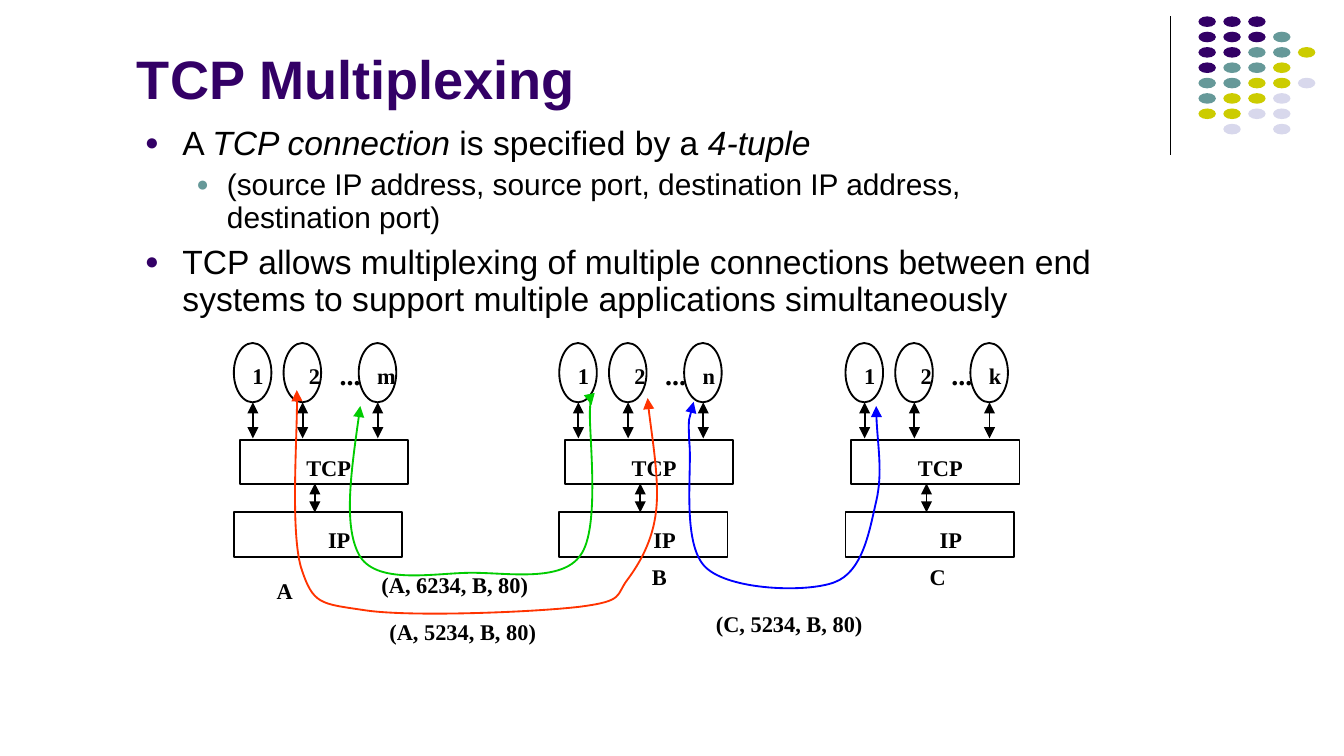
from dataclasses import dataclass

from lxml.etree import SubElement
from pptx import Presentation
from pptx.dml.color import RGBColor
from pptx.enum.shapes import MSO_CONNECTOR, MSO_SHAPE
from pptx.enum.text import MSO_ANCHOR, MSO_AUTO_SIZE
from pptx.oxml.ns import qn
from pptx.util import Cm, Pt


@dataclass(frozen=True)
class Theme:
    purple: str = "330066"
    teal: str = "669999"
    olive: str = "CCCC00"
    pale: str = "D8D8EC"
    black: str = "000000"
    red: str = "FF3300"
    green: str = "00CC00"
    blue: str = "0000FF"
    sans: str = "Arial"
    serif: str = "Times New Roman"
    title: int = 29
    body: int = 18
    sub: int = 16
    dots: int = 15
    label: int = 12


T = Theme()


def add_text(shapes, text, x, y, w, h, size=T.label, font=T.serif, color=T.black,
             wrap=False, auto_size=MSO_AUTO_SIZE.SHAPE_TO_FIT_TEXT, anchor=MSO_ANCHOR.TOP):
    tf = shapes.add_textbox(Cm(x), Cm(y), Cm(w), Cm(h)).text_frame
    frame_format = {"word_wrap": wrap, "auto_size": auto_size, "vertical_anchor": anchor}
    for name, value in frame_format.items():
        setattr(tf, name, value)
    r = tf.paragraphs[0].add_run()
    r.text = text
    for name, value in {"name": font, "size": Pt(size), "bold": True}.items():
        setattr(r.font, name, value)
    r.font.color.rgb = RGBColor.from_string(color)


def style_line(sp, color=T.black, width=1, arrows=True):
    sp.line.color.rgb = RGBColor.from_string(color)
    sp.line.width = Pt(width)
    if arrows:
        for end in ("a:headEnd", "a:tailEnd"):
            SubElement(sp.line._get_or_add_ln(), qn(end), type="triangle")
    if sp._element.spPr.find(qn("a:effectLst")) is None:
        SubElement(sp._element.spPr, qn("a:effectLst"))


prs = Presentation()
prs.slide_width, prs.slide_height = Cm(25.4), Cm(14.28)
s = prs.slides.add_slide(prs.slide_layouts[6])

# Corner decoration: rule and dot grid, one letter per dot colour
rule = s.shapes.add_connector(MSO_CONNECTOR.STRAIGHT, Cm(22.12), Cm(0.31), Cm(22.12), Cm(2.92))
style_line(rule, width=0.75, arrows=False)
dot_colors = {"P": T.purple, "T": T.teal, "O": T.olive, "L": T.pale}
dot_rows = ["PPP", "PPPT", "PPTTO", "PTTO", "TTOOL", "TOOL", "OOLL", " L L"]
corner = s.shapes.add_group_shape()
for row, letters in enumerate(dot_rows):
    for col, letter in enumerate(letters):
        if letter in dot_colors:
            sp = corner.shapes.add_shape(MSO_SHAPE.OVAL, Cm(22.65 + 0.47 * col),
                                         Cm(0.31 + 0.29 * row), Cm(0.33), Cm(0.2))
            sp.shadow.inherit = False
            sp.fill.solid()
            sp.fill.fore_color.rgb = RGBColor.from_string(dot_colors[letter])
            sp.line.fill.background()

# Title
add_text(s.shapes, "TCP Multiplexing", 2.34, 0.38, 19.1, 1.83, T.title, T.sans, T.purple,
         wrap=True, auto_size=MSO_AUTO_SIZE.NONE, anchor=MSO_ANCHOR.BOTTOM)

# Bullets: level, size, bullet colour, left margin, hanging indent, space before, (text, italic)
bullets = [
    (0, T.body, T.purple, 0.71, 0.71, 0,
     [("A ", False), ("TCP connection", True), (" is specified by a ", False), ("4-tuple", True)]),
    (1, T.sub, T.teal, 1.55, 0.58, 4,
     [("(source IP address, source port, destination IP address, destination port)", False)]),
    (0, T.body, T.purple, 0.71, 0.71, 6,
     [("TCP allows multiplexing of multiple connections between end systems "
       "to support multiple applications simultaneously", False)]),
]
tf = s.shapes.add_textbox(Cm(2.49), Cm(2.26), Cm(18.49), Cm(5)).text_frame
tf.word_wrap = True
for i, (level, size, color, margin, hanging, before, runs) in enumerate(bullets):
    p = tf.paragraphs[0] if i == 0 else tf.add_paragraph()
    for name, value in {"level": level, "line_spacing": 0.9, "space_before": Pt(before)}.items():
        setattr(p, name, value)
    pPr = p._p.get_or_add_pPr()
    pPr.set("marL", str(Cm(margin)))
    pPr.set("indent", str(-Cm(hanging)))
    SubElement(SubElement(pPr, qn("a:buClr")), qn("a:srgbClr"), val=color)
    SubElement(pPr, qn("a:buSzPct"), val="70000")
    SubElement(pPr, qn("a:buFont"), typeface=T.sans)
    SubElement(pPr, qn("a:buChar"), char="●")
    for text, italic in runs:
        r = p.add_run()
        r.text = text
        for name, value in {"name": T.sans, "size": Pt(size), "italic": italic}.items():
            setattr(r.font, name, value)
        r.font.color.rgb = RGBColor.from_string(T.black)

# Hosts: left edge, last process and its label width
process_offsets = (0, 0.94, 2.36)
label_offsets = (0.1, 1.17, 2.46)
for left, last, last_width in [(4.42, "m", 0.86), (10.57, "n", 0.76), (15.98, "k", 0.76)]:
    host = s.shapes.add_group_shape().shapes
    boxes = [(MSO_SHAPE.OVAL, dx, 6.48, 0.71, 1.12) for dx in process_offsets]
    boxes += [(MSO_SHAPE.RECTANGLE, 0.11, 8.31, 3.18, 0.84),
              (MSO_SHAPE.RECTANGLE, 0, 9.68, 3.18, 0.84)]
    for kind, dx, y, w, h in boxes:
        sp = host.add_shape(kind, Cm(left + dx), Cm(y), Cm(w), Cm(h))
        sp.shadow.inherit = False
        sp.fill.background()
        style_line(sp, arrows=False)
    arrows = [(dx + 0.36, 7.6, 8.28) for dx in process_offsets] + [(1.53, 9.13, 9.68)]
    for dx, top, bottom in arrows:
        x = Cm(left + dx)
        style_line(host.add_connector(MSO_CONNECTOR.STRAIGHT, x, Cm(top), x, Cm(bottom)))
    for text, dx, w in zip(("1", "2", last), label_offsets, (0.74, 0.74, last_width)):
        add_text(host, text, left + dx, 6.71, w, 0.76)
    add_text(host, "...", left + 1.75, 6.63, 0.91, 0.89, T.dots)
    add_text(host, "TCP", left + 1.12, 8.46, 1.37, 0.76)
    add_text(host, "IP", left + 1.53, 9.81, 0.95, 0.76)

# Connections: start point, then three Bezier points per curve segment
connections = [
    (T.red, [(5.61, 7.37),
             (5.64, 7.92), (5.49, 10.03), (5.69, 10.72),
             (5.92, 11.43), (6.05, 11.4), (6.91, 11.53),
             (7.8, 11.66), (10.16, 11.56), (10.97, 11.46),
             (11.81, 11.35), (11.63, 11.25), (11.86, 10.95),
             (12.09, 10.64), (12.34, 10.21), (12.4, 9.65),
             (12.47, 9.07), (12.27, 7.95), (12.24, 7.52)]),
    (T.green, [(6.81, 7.67),
               (6.65, 8.81), (6.48, 9.98), (6.81, 10.52),
               (7.16, 11.05), (8.23, 10.82), (8.92, 10.82),
               (9.6, 10.82), (10.62, 11), (10.97, 10.49),
               (11.35, 9.98), (11.13, 8.23), (11.15, 7.75),
               (11.18, 7.26), (11.18, 7.67), (11.18, 7.65)]),
    (T.blue, [(16.56, 7.67),
              (16.56, 8.28), (16.69, 8.92), (16.56, 9.47),
              (16.43, 10.03), (16.31, 10.8), (15.77, 11),
              (15.24, 11.2), (13.79, 11.15), (13.34, 10.72),
              (12.88, 10.29), (13.08, 8.89), (13.03, 8.38),
              (13, 7.85), (13.08, 7.75), (13.11, 7.59)]),
]
for color, points in connections:
    start, *rest = [(Cm(x), Cm(y)) for x, y in points]
    builder = s.shapes.build_freeform(*start)
    builder.add_line_segments(rest, close=False)
    sp = builder.convert_to_shape()
    sp.shadow.inherit = False
    sp.fill.background()
    style_line(sp, color)
    outline = next(sp._element.iter(qn("a:path")))
    segments = outline.findall(qn("a:lnTo"))
    for i in range(0, len(segments), 3):
        curve = SubElement(outline, qn("a:cubicBezTo"))
        for segment in segments[i:i + 3]:
            curve.append(segment[0])
            outline.remove(segment)

# Host names and connection tuples
for text, x, y, w in [("A", 4.98, 10.77, 0.81), ("B", 12.07, 10.52, 0.79),
                      ("C", 17.32, 10.52, 0.81), ("(A, 5234, B, 80)", 7.11, 11.56, 3.3),
                      ("(A, 6234, B, 80)", 6.96, 10.67, 3.3),
                      ("(C, 5234, B, 80)", 13.28, 11.4, 3.3)]:
    add_text(s.shapes, text, x, y, w, 0.76)

prs.save("out.pptx")
